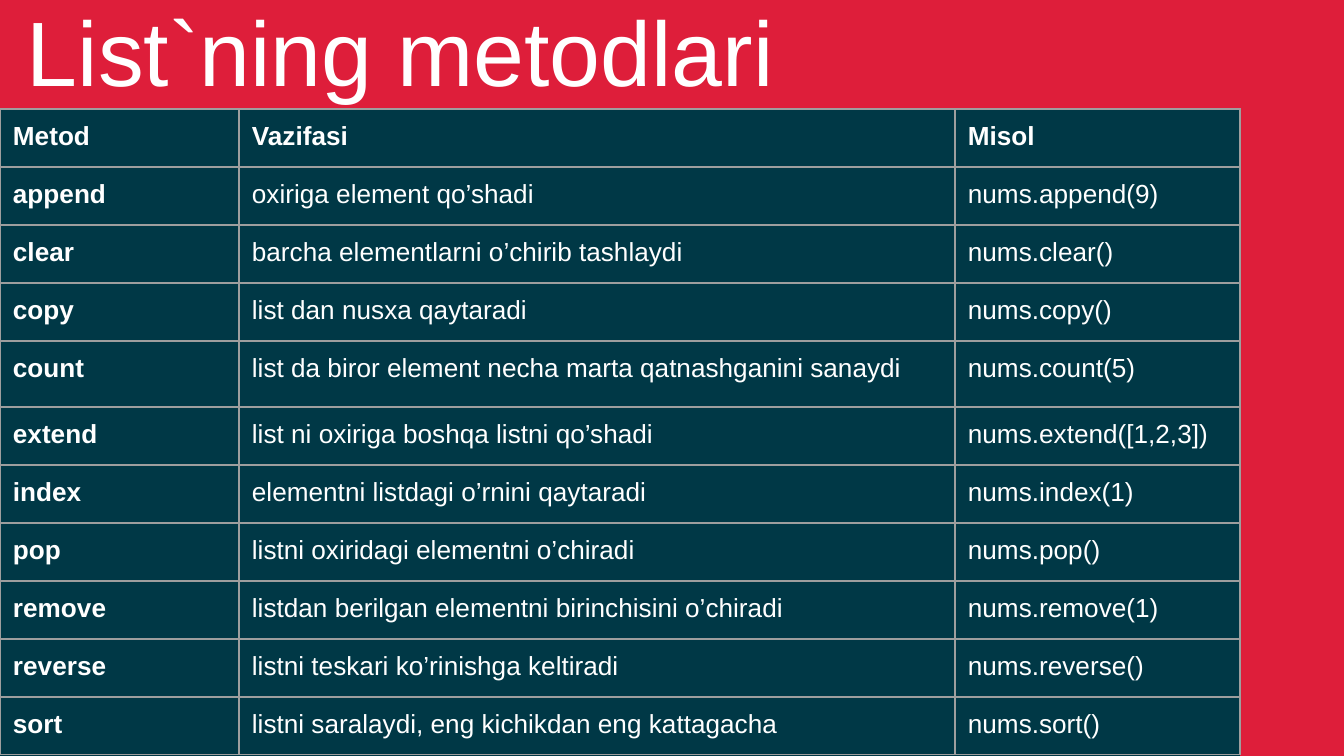
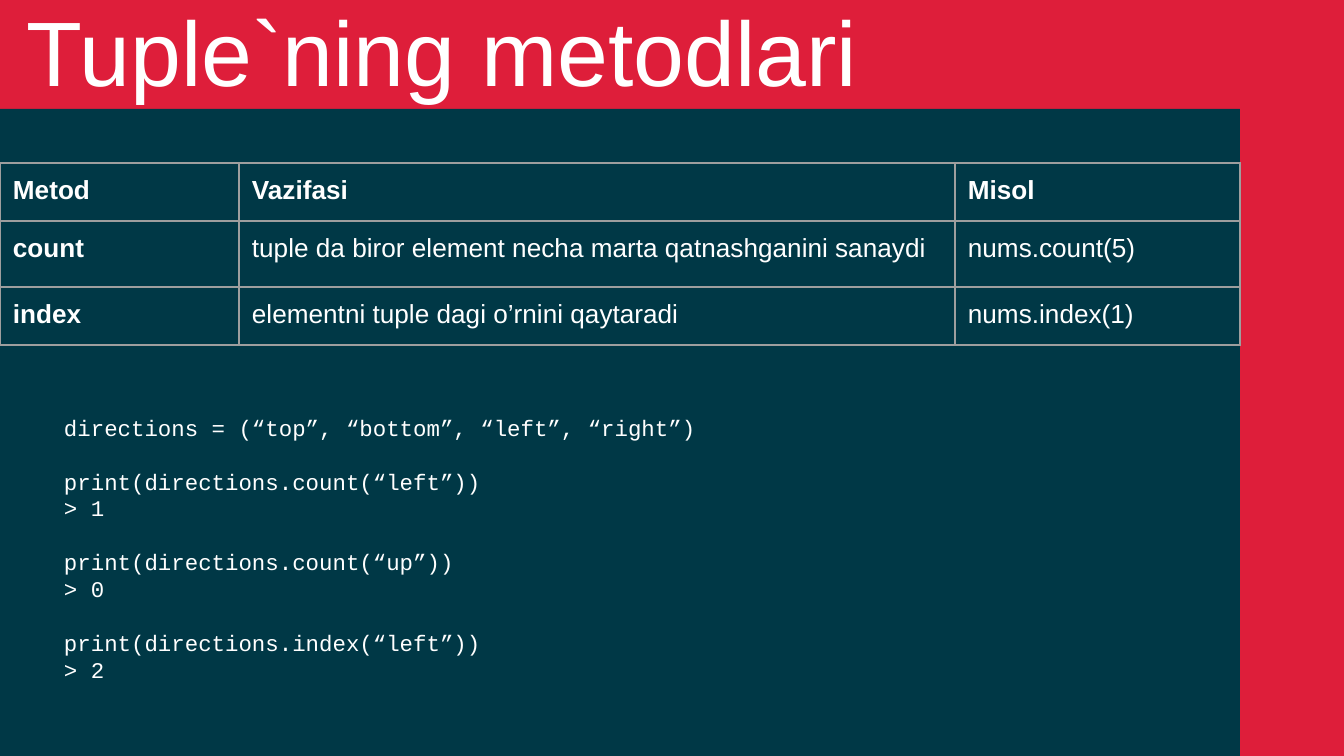
from lxml import etree
from pptx import Presentation
from pptx.dml.color import RGBColor
from pptx.enum.shapes import MSO_SHAPE
from pptx.enum.text import MSO_ANCHOR, MSO_AUTO_SIZE, PP_ALIGN
from pptx.oxml.ns import qn
from pptx.util import Pt

RECTANGLE = MSO_SHAPE.RECTANGLE
TOP = MSO_ANCHOR.TOP
LEFT = PP_ALIGN.LEFT
NO_AUTOFIT = MSO_AUTO_SIZE.NONE

# Shared look
RED = RGBColor(0xDE, 0x1E, 0x3A)
TEAL = RGBColor(0x00, 0x38, 0x46)
WHITE = RGBColor(0xFF, 0xFF, 0xFF)
GREY = RGBColor(0x9E, 0x9E, 0x9E)
TEXT_FONT = "Arial"
CODE_FONT = "Courier New"

# Shared grid, in px
EMU_PER_PX = 914400 / 134.4
SLIDE_WIDTH, SLIDE_HEIGHT = 1344, 756
PANEL_TOP, PANEL_WIDTH = 109, 1240
COLUMN_WIDTHS = (239, 716, 285)
ROW_HEIGHT, TALL_ROW_HEIGHT = 58, 66
INSET = 13
TITLE_ONLY = 5

HEADER = ("Metod", "Vazifasi", "Misol")
LIST_METHODS = (
    ("append", "oxiriga element qo’shadi", "nums.append(9)"),
    ("clear", "barcha elementlarni o’chirib tashlaydi", "nums.clear()"),
    ("copy", "list dan nusxa qaytaradi", "nums.copy()"),
    ("count", "list da biror element necha marta qatnashganini sanaydi", "nums.count(5)"),
    ("extend", "list ni oxiriga boshqa listni qo’shadi", "nums.extend([1,2,3])"),
    ("index", "elementni listdagi o’rnini qaytaradi", "nums.index(1)"),
    ("pop", "listni oxiridagi elementni o’chiradi", "nums.pop()"),
    ("remove", "listdan berilgan elementni birinchisini o’chiradi", "nums.remove(1)"),
    ("reverse", "listni teskari ko’rinishga keltiradi", "nums.reverse()"),
    ("sort", "listni saralaydi, eng kichikdan eng kattagacha", "nums.sort()"),
)
TUPLE_METHODS = (
    ("count", "tuple da biror element necha marta qatnashganini sanaydi", "nums.count(5)"),
    ("index", "elementni tuple dagi o’rnini qaytaradi", "nums.index(1)"),
)
TUPLE_CODE = (
    "directions = (“top”, “bottom”, “left”, “right”)",
    "print(directions.count(“left”))",
    "> 1",
    "print(directions.count(“up”))",
    "> 0",
    "print(directions.index(“left”))",
    "> 2",
)


def px(length):
    return round(length * EMU_PER_PX)


def box(left, top, width, height):
    return px(left), px(top), px(width), px(height)


def write_text(frame, *lines, size, font=TEXT_FONT, bold=False, spacing=None):
    """Write one paragraph per line and return the paragraphs."""
    for number, line in enumerate(lines):
        paragraph = frame.paragraphs[0] if number == 0 else frame.add_paragraph()
        paragraph.alignment = LEFT
        paragraph.line_spacing = spacing
        run = paragraph.add_run()
        run.text = line
        run.font.name = font
        run.font.size = Pt(size)
        run.font.bold = bold
        run.font.color.rgb = WHITE
    return frame.paragraphs


def set_insets(frame, inset):
    frame.margin_left = frame.margin_right = px(inset)
    frame.margin_top = frame.margin_bottom = px(inset)


def add_titled_slide(prs, heading, title_width):
    slide = prs.slides.add_slide(prs.slide_layouts[TITLE_ONLY])
    title = slide.shapes.title
    title.left, title.top, title.width, title.height = box(27, 7, title_width, 172)
    frame = title.text_frame
    frame.word_wrap = True
    frame.auto_size = NO_AUTOFIT
    frame.vertical_anchor = TOP
    set_insets(frame, 0)
    write_text(frame, heading, size=49, spacing=0.9)

    # Dark panel, behind the title
    panel = slide.shapes.add_shape(
        RECTANGLE, *box(0, PANEL_TOP, PANEL_WIDTH, SLIDE_HEIGHT - PANEL_TOP))
    panel.shadow.inherit = False
    panel.fill.solid()
    panel.fill.fore_color.rgb = TEAL
    panel.line.fill.background()
    title.element.addprevious(panel.element)
    return slide


def add_borders(cell):
    properties = cell._tc.get_or_add_tcPr()
    for position, side in enumerate(("a:lnL", "a:lnR", "a:lnT", "a:lnB")):
        line = etree.Element(qn(side), w=str(Pt(0.75)))
        fill = etree.SubElement(line, qn("a:solidFill"))
        etree.SubElement(fill, qn("a:srgbClr"), val=str(GREY))
        properties.insert(position, line)


def add_method_table(slide, top, methods):
    rows = (HEADER, *methods)
    heights = [TALL_ROW_HEIGHT if row[0] == "count" else ROW_HEIGHT for row in rows]
    table = slide.shapes.add_table(
        len(rows), len(HEADER), *box(0, top, sum(COLUMN_WIDTHS), sum(heights))).table
    table.horz_banding = False
    for column, width in zip(table.columns, COLUMN_WIDTHS):
        column.width = px(width)
    for r, (row, height) in enumerate(zip(rows, heights)):
        table.rows[r].height = px(height)
        for c, text in enumerate(row):
            cell = table.cell(r, c)
            cell.fill.background()
            cell.vertical_anchor = TOP
            set_insets(cell, INSET)
            write_text(cell.text_frame, text, size=14, bold=r == 0 or c == 0)
            add_borders(cell)


def add_code(slide, lines, left, top, width, height):
    frame = slide.shapes.add_textbox(*box(left, top, width, height)).text_frame
    frame.word_wrap = True
    set_insets(frame, INSET)
    for paragraph in write_text(frame, *lines, size=12, font=CODE_FONT, spacing=Pt(14.4)):
        # Each call starts a new group
        if paragraph.text.startswith("print"):
            paragraph.space_before = Pt(14.4)


def main():
    prs = Presentation()
    prs.slide_width, prs.slide_height = px(SLIDE_WIDTH), px(SLIDE_HEIGHT)
    background = prs.slide_master.background.fill
    background.solid()
    background.fore_color.rgb = RED

    # List methods
    list_slide = add_titled_slide(prs, "List`ning metodlari", 817)
    add_method_table(list_slide, PANEL_TOP, LIST_METHODS)

    # Tuple methods, with sample code
    tuple_slide = add_titled_slide(prs, "Tuple`ning metodlari", 1213)
    add_method_table(tuple_slide, 163, TUPLE_METHODS)
    add_code(tuple_slide, TUPLE_CODE, 51, 401, 683, 344)

    prs.save("out.pptx")


if __name__ == "__main__":
    main()
